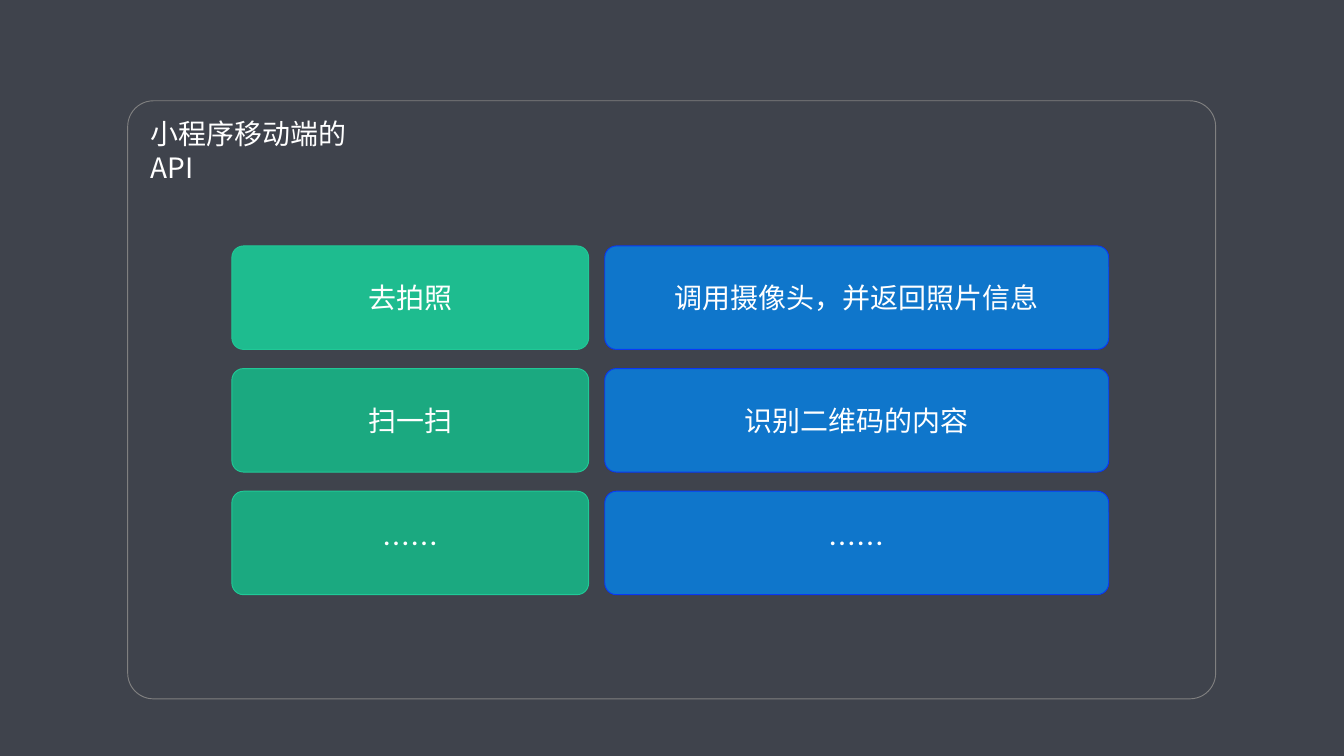
from dataclasses import dataclass

from lxml import etree
from pptx import Presentation
from pptx import util as u
from pptx.dml import color
from pptx.enum import shapes, text
from pptx.oxml import ns


@dataclass(frozen=True)
class Theme:
    font: str = "Noto Sans CJK SC"
    text_size: float = 30
    title_spacing: float = 36.5
    line_width: float = 1
    background: str = "3F434C"
    text: str = "FFFFFF"
    frame_line: str = "808080"
    action_highlight: str = "1EBC8F"
    action: str = "1BA980"
    action_line: str = "20C997"
    result: str = "0F76CB"
    result_line: str = "0939F7"


THEME = Theme()
TITLE = "小程序移动端的 API"
API_ROWS = [
    ("去拍照", "调用摄像头，并返回照片信息"),
    ("扫一扫", "识别二维码的内容"),
    ("……", "……"),
]


def rgb(value):
    return color.RGBColor.from_string(value)


def write_text(text_frame, content, alignment):
    text_frame.text = content
    text_frame.word_wrap = True
    paragraph = text_frame.paragraphs[0]
    paragraph.alignment = alignment
    font = paragraph.runs[0].font
    font.name = THEME.font
    font.size = u.Pt(THEME.text_size)
    font.color.rgb = rgb(THEME.text)
    east_asian = etree.SubElement(paragraph.runs[0]._r.get_or_add_rPr(), ns.qn("a:ea"))
    east_asian.set("typeface", THEME.font)
    return paragraph


def add_rounded_box(slide, box, radius, line, fill=None):
    shape = slide.shapes.add_shape(
        shapes.MSO_SHAPE.ROUNDED_RECTANGLE, *map(u.Inches, box)
    )
    shape.adjustments[0] = radius
    shape.shadow.inherit = False
    if fill:
        shape.fill.solid()
        shape.fill.fore_color.rgb = rgb(fill)
    else:
        shape.fill.background()
    shape.line.color.rgb = rgb(line)
    shape.line.width = u.Pt(THEME.line_width)
    return shape


def add_frame(slide, box):
    left, top, width, height = box
    add_rounded_box(slide, box, 0.043, THEME.frame_line)
    title = slide.shapes.add_textbox(
        u.Inches(left + 0.24), u.Inches(top + 0.18), u.Inches(3.81), u.Inches(0.61)
    )
    paragraph = write_text(title.text_frame, TITLE, text.PP_ALIGN.LEFT)
    paragraph.line_spacing = u.Pt(THEME.title_spacing)


def add_api_grid(slide, box):
    left, top, width, height = box
    row_height = 1.54
    pitch = (height - row_height) / (len(API_ROWS) - 1)
    action_width, result_width = 5.31, 7.5
    result_left = left + width - result_width
    for index, (action, result) in enumerate(API_ROWS):
        action_fill = THEME.action if index else THEME.action_highlight
        cells = [
            (action, left, action_width, action_fill, THEME.action_line),
            (result, result_left, result_width, THEME.result, THEME.result_line),
        ]
        for content, cell_left, cell_width, fill, line in cells:
            cell_box = (cell_left, top + index * pitch, cell_width, row_height)
            cell = add_rounded_box(slide, cell_box, 0.112, line, fill)
            cell.text_frame.vertical_anchor = text.MSO_ANCHOR.MIDDLE
            write_text(cell.text_frame, content, text.PP_ALIGN.CENTER)


def main():
    presentation = Presentation()
    presentation.slide_width = u.Inches(20)
    presentation.slide_height = u.Inches(11.25)
    slide = presentation.slides.add_slide(presentation.slide_layouts[6])
    slide.background.fill.solid()
    slide.background.fill.fore_color.rgb = rgb(THEME.background)
    add_frame(slide, (1.9, 1.5, 16.19, 8.9))
    add_api_grid(slide, (3.45, 3.66, 13.05, 5.19))
    presentation.save("out.pptx")


if __name__ == "__main__":
    main()
